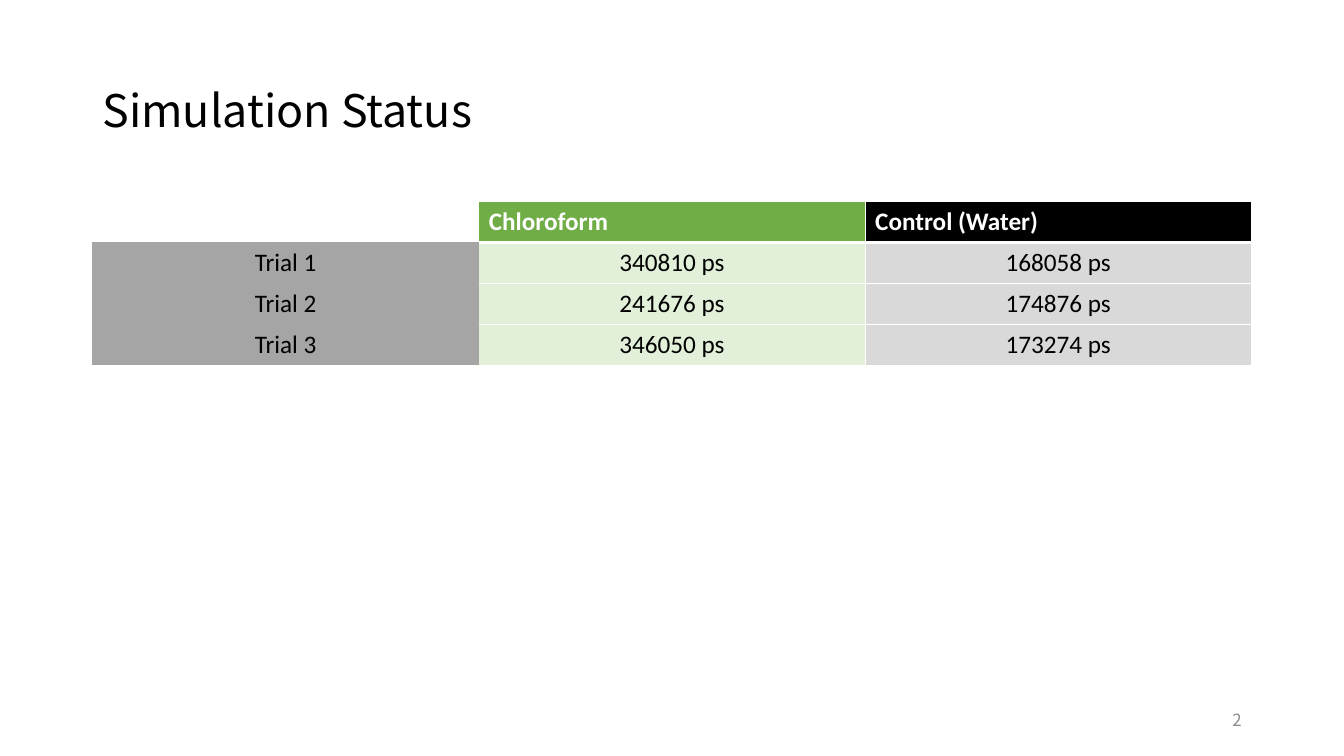
from lxml import etree
from pptx import Presentation
from pptx.dml.color import RGBColor
from pptx.enum import text as t
from pptx.oxml import ns
from pptx.util import Cm, Pt

WHITE = RGBColor(0xFF, 0xFF, 0xFF)
BLACK = RGBColor(0, 0, 0)
GREEN = RGBColor(0x70, 0xAD, 0x47)
PALE = RGBColor(0xE2, 0xF0, 0xD9)
GRAY = RGBColor(0xA5, 0xA5, 0xA5)
LIGHT = RGBColor(0xD9, 0xD9, 0xD9)
MUTED = RGBColor(0x8C, 0x8C, 0x8C)
SANS = "Noto Sans CJK SC"
BODY = "Calibri"
LEFT, WIDE = Cm(2.33), Cm(29.21)

ROWS = [
    ("", "Chloroform", "Control (Water)"),
    ("Trial 1", "340810 ps", "168058 ps"),
    ("Trial 2", "241676 ps", "174876 ps"),
    ("Trial 3", "346050 ps", "173274 ps"),
]
HEAD = (WHITE, GREEN, BLACK)
FILLS = (GRAY, PALE, LIGHT)


def add_run(para, words, size, font, color, bold=False):
    run = para.add_run()
    run.text = words
    run.font.size = Pt(size)
    run.font.name = font
    run.font.bold = bold
    run.font.color.rgb = color


def add_label(slide, box, words, size, color, align):
    frame = slide.shapes.add_textbox(*box).text_frame
    frame.word_wrap = True
    frame.vertical_anchor = t.MSO_ANCHOR.MIDDLE
    para = frame.paragraphs[0]
    para.alignment = align
    para.line_spacing = 0.9
    add_run(para, words, size, SANS, color)


def set_edge(cell, side, width):
    """Draw a white cell border, or none when the width is zero."""
    props = cell._tc.get_or_add_tcPr()
    line = etree.SubElement(props, ns.qn("a:ln" + side), w=str(Pt(width)))
    if width:
        fill = etree.SubElement(line, ns.qn("a:solidFill"))
        etree.SubElement(fill, ns.qn("a:srgbClr"), val=str(WHITE))
    else:
        etree.SubElement(line, ns.qn("a:noFill"))


def fill_cell(cell, words, row, col):
    # Borders: none in the label column, thick under the header
    edges = {
        "L": 1 if col > 1 else 0,
        "R": 1 if col else 0,
        "T": 3 if row == 1 else 1,
        "B": 3 if row == 0 else 1,
    }
    for side, width in edges.items():
        set_edge(cell, side, width if col else 0)
    cell.fill.solid()
    cell.fill.fore_color.rgb = FILLS[col] if row else HEAD[col]

    # Text
    if words:
        para = cell.text_frame.paragraphs[0]
        para.alignment = t.PP_ALIGN.CENTER if row else t.PP_ALIGN.LEFT
        add_run(para, words, 18, BODY, BLACK if row else WHITE, not row)


def add_grid(slide):
    shape = slide.shapes.add_table(
        len(ROWS), len(HEAD), LEFT, Cm(5.08), WIDE, Cm(4.12))
    table = shape.table
    table.first_row = table.horz_banding = False
    for row, line in enumerate(ROWS):
        for col, words in enumerate(line):
            fill_cell(table.cell(row, col), words, row, col)


def main():
    deck = Presentation()
    deck.slide_width, deck.slide_height = Cm(33.87), Cm(19.05)
    slide = deck.slides.add_slide(deck.slide_layouts[6])

    # Title
    add_label(slide, (LEFT, Cm(1.01), WIDE, Cm(3.68)),
              "Simulation Status", 32, BLACK, t.PP_ALIGN.LEFT)
    # Trial times
    add_grid(slide)
    # Page number
    add_label(slide, (Cm(23.92), Cm(17.66), Cm(7.62), Cm(1.01)),
              "2", 12, MUTED, t.PP_ALIGN.RIGHT)
    deck.save("out.pptx")


if __name__ == "__main__":
    main()
